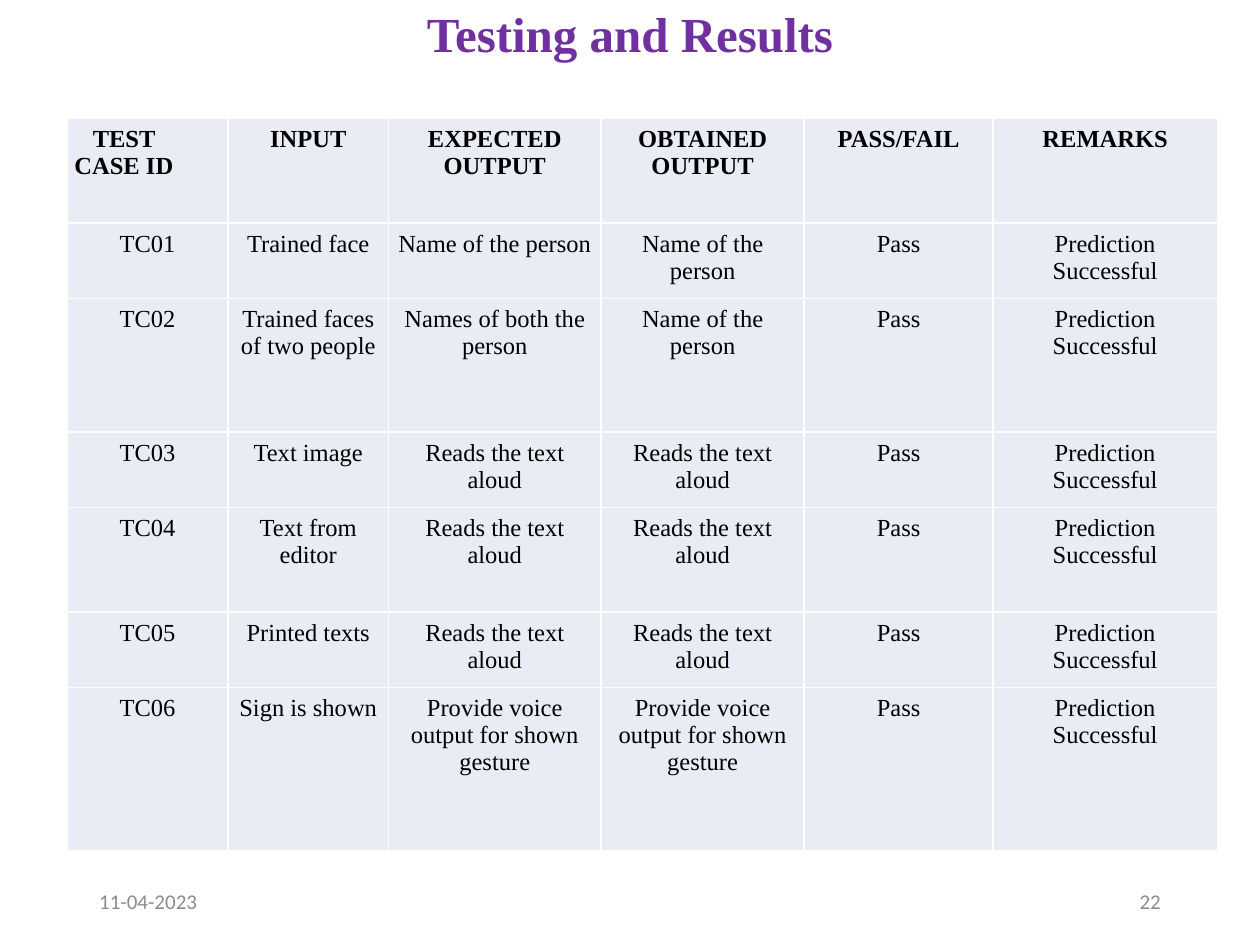
from lxml import etree
from pptx import Presentation
from pptx.dml.color import RGBColor
from pptx.enum.text import MSO_ANCHOR, PP_ALIGN
from pptx.oxml.ns import qn
from pptx.util import Cm, Pt

LEFT, CENTER, RIGHT = PP_ALIGN.LEFT, PP_ALIGN.CENTER, PP_ALIGN.RIGHT
TOP, MIDDLE = MSO_ANCHOR.TOP, MSO_ANCHOR.MIDDLE
SERIF, SANS = "Times New Roman", "Calibri"
COLORS = {"title": "7030A0", "text": "000000", "muted": "8C8C8C",
          "cell": "E9EBF5", "border": "FFFFFF"}
TITLE_BOX = (1.75, 0, 21.9, 1.47)
TABLE_BOX = (1.35, 2.39, 23.19, 14.75)
FOOTER_BOX = (1.75, 17.65, 21.9, 1.02)
COLUMN_WIDTHS = (3.25, 3.23, 4.29, 4.09, 3.81, 4.52)
ROW_HEIGHTS = (2.11, 1.52, 2.69, 1.52, 2.11, 1.52, 3.28)
HEADER = ("TEST CASE ID", "INPUT", "EXPECTED OUTPUT", "OBTAINED OUTPUT",
          "PASS/FAIL", "REMARKS")
READS = "Reads the text aloud"
VOICE = "Provide voice output for shown gesture"
TESTS = (
    ("Trained face", "Name of the person", "Name of the person"),
    ("Trained faces of two people", "Names of both the person", "Name of the person"),
    ("Text image", READS, READS),
    ("Text from editor", READS, READS),
    ("Printed texts", READS, READS),
    ("Sign is shown", VOICE, VOICE),
)


def write_text(frame, text, size=14, font=SERIF, color="text", bold=False,
               align=CENTER, spacing=None):
    """Write one formatted paragraph into a text frame and return it."""
    para = frame.paragraphs[0]
    para.alignment = align
    para.line_spacing = spacing
    span = para.add_run()
    span.text = text
    span.font.size = Pt(size)
    span.font.name = font
    span.font.bold = bold
    span.font.color.rgb = RGBColor.from_string(COLORS[color])
    return para


def add_title(page, box):
    """Place and format the title placeholder."""
    title = page.shapes.title
    title.left, title.top, title.width, title.height = map(Cm, box)
    title.text_frame.vertical_anchor = MIDDLE
    write_text(title.text_frame, "Testing and Results", size=28, color="title",
               bold=True, spacing=0.9)


def add_borders(cell):
    """Draw a thin line on all four sides of a cell."""
    properties = cell._tc.get_or_add_tcPr()
    for index, side in enumerate(("a:lnL", "a:lnR", "a:lnT", "a:lnB")):
        line = etree.Element(qn(side), w=str(Pt(1)))
        fill = etree.SubElement(line, qn("a:solidFill"))
        etree.SubElement(fill, qn("a:srgbClr"), val=COLORS["border"])
        properties.insert(index, line)


def format_cell(cell):
    """Set the fill, margins and borders of a cell."""
    cell.fill.solid()
    cell.fill.fore_color.rgb = RGBColor.from_string(COLORS["cell"])
    cell.margin_left = cell.margin_right = Cm(0.15)
    cell.margin_top = cell.margin_bottom = Cm(0.15)
    cell.vertical_anchor = TOP
    add_borders(cell)


def add_results_table(page, box):
    """Add the table of test cases."""
    rows = [HEADER] + [(f"TC{number:02}", *test, "Pass", "Prediction Successful")
                       for number, test in enumerate(TESTS, 1)]
    table = page.shapes.add_table(len(rows), len(HEADER), *map(Cm, box)).table
    for column, width in zip(table.columns, COLUMN_WIDTHS):
        column.width = Cm(width)
    for row, height in zip(table.rows, ROW_HEIGHTS):
        row.height = Cm(height)
    for row_index, row in enumerate(rows):
        for column_index, text in enumerate(row):
            cell = table.cell(row_index, column_index)
            format_cell(cell)
            first = row_index == column_index == 0
            para = write_text(cell.text_frame, text, bold=row_index == 0,
                              align=LEFT if first else CENTER)
            if first:
                para._p.get_or_add_pPr().set("indent", str(Cm(0.37)))


def add_footer(page, box):
    """Add the date at the left and the page number at the right of the box."""
    left, top, width, height = box
    part_width = 5.72
    for text, start, align in (("11-04-2023", left, LEFT),
                               ("22", left + width - part_width, RIGHT)):
        note = page.shapes.add_textbox(Cm(start), Cm(top), Cm(part_width), Cm(height))
        note.text_frame.word_wrap = True
        note.text_frame.vertical_anchor = MIDDLE
        write_text(note.text_frame, text, size=12, font=SANS, color="muted", align=align)


def main():
    """Build the deck and save it."""
    deck = Presentation()
    deck.slide_width, deck.slide_height = Cm(25.4), Cm(19.05)
    page = deck.slides.add_slide(deck.slide_layouts[5])
    add_title(page, TITLE_BOX)
    add_footer(page, FOOTER_BOX)
    add_results_table(page, TABLE_BOX)
    deck.save("out.pptx")


if __name__ == "__main__":
    main()
